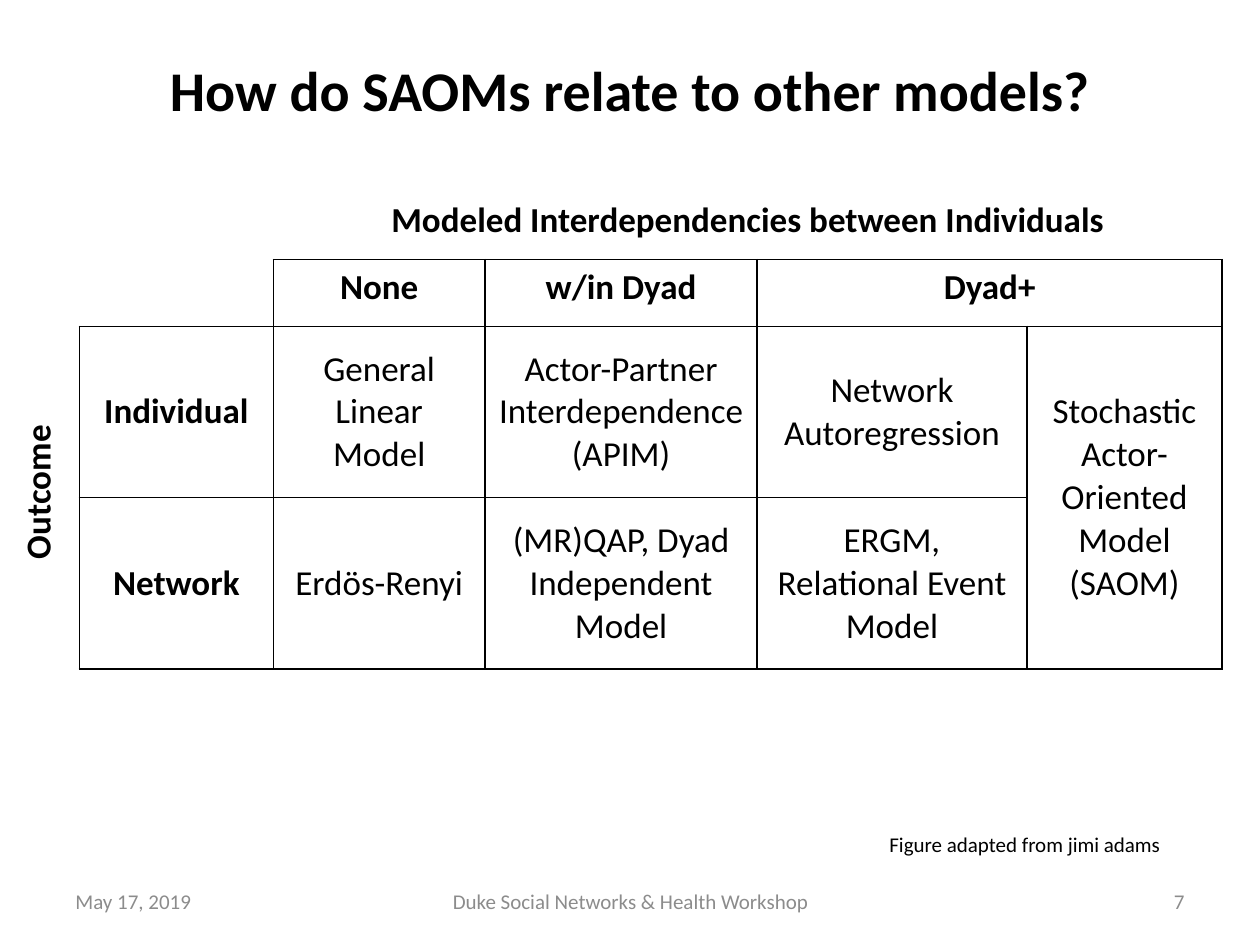
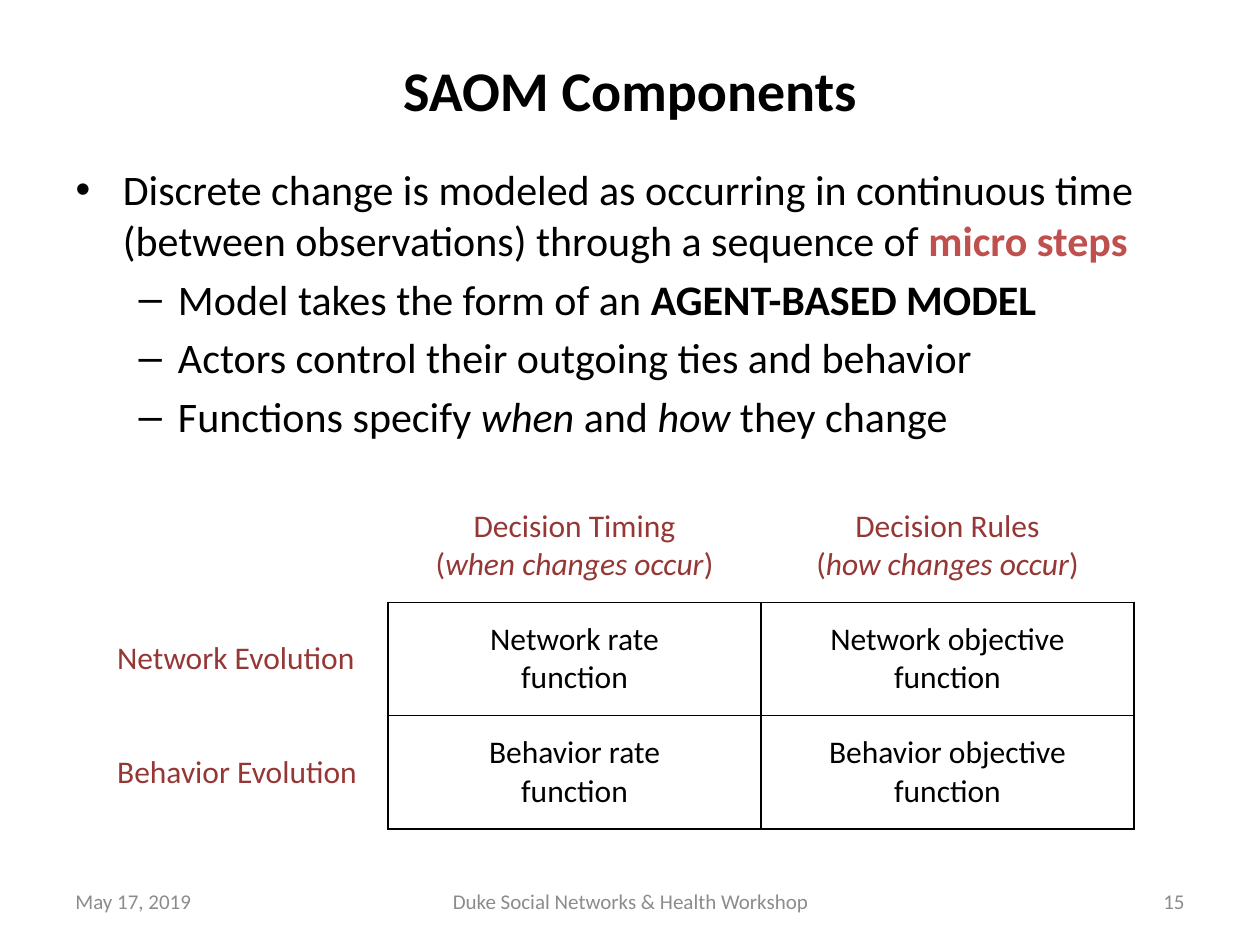
import pptx
import pptx.dml.color
import pptx.enum.text
import pptx.oxml
import pptx.oxml.ns
import pptx.util

RGB = pptx.dml.color.RGBColor
ALIGN = pptx.enum.text.PP_ALIGN
ANCHOR = pptx.enum.text.MSO_ANCHOR
BLACK = RGB(0x00, 0x00, 0x00)
GREY = RGB(0x8C, 0x8C, 0x8C)
RED = RGB(0xC0, 0x50, 0x4D)
MAROON = RGB(0x95, 0x37, 0x35)
FONT = "Calibri"
EMU_PER_PX = 9144
TITLE_ONLY, TITLE_AND_CONTENT = 5, 1
ALL_EDGES = "LRTB"


def px(*lengths):
    return [pptx.util.Emu(n * EMU_PER_PX) for n in lengths]


def write(tf, paragraphs, size=20, color=BLACK, bold=False, align=None, levels=()):
    for i, runs in enumerate(paragraphs):
        p = tf.paragraphs[0] if i == 0 else tf.add_paragraph()
        if align is not None:
            p.alignment = align
        if levels:
            p.level = levels[i]
        if i == 0:
            p.space_before = pptx.util.Pt(0)
        for run in [runs] if isinstance(runs, str) else runs:
            text, look = (run, {}) if isinstance(run, str) else run
            r = p.add_run()
            r.text = text
            r.font.name = FONT
            r.font.size = pptx.util.Pt(size)
            r.font.bold = look.get("bold", bold)
            r.font.italic = look.get("italic", False)
            r.font.color.rgb = look.get("color", color)


class Deck:
    def __init__(self, prs):
        self.prs = prs
        self.s = None

    def slide(self, title, number, layout=TITLE_ONLY):
        self.s = self.prs.slides.add_slide(self.prs.slide_layouts[layout])
        sp = self.s.shapes.title
        sp.left, sp.top, sp.width, sp.height = px(50, 8, 900, 125)
        sp.text_frame.vertical_anchor = ANCHOR.MIDDLE
        write(sp.text_frame, [title], size=32, bold=True, align=ALIGN.CENTER)
        footers = [
            (50, 233, "May 17, 2019", ALIGN.LEFT),
            (342, 317, "Duke Social Networks & Health Workshop", ALIGN.CENTER),
            (717, 233, str(number), ALIGN.RIGHT),
        ]
        for left, width, text, align in footers:
            self.text(text, left, 695, width, 40, anchor=ANCHOR.MIDDLE,
                      size=12, color=GREY, align=align)

    def text(self, text, left, top, width, height, anchor=ANCHOR.TOP,
             wrap=True, rotation=0, **fmt):
        sp = self.s.shapes.add_textbox(*px(left, top, width, height))
        sp.rotation = rotation
        sp.text_frame.word_wrap = wrap
        sp.text_frame.vertical_anchor = anchor
        write(sp.text_frame, [text], **fmt)

    def body(self, paragraphs, left, top, width, height, **fmt):
        sp = self.s.placeholders[1]
        sp.left, sp.top, sp.width, sp.height = px(left, top, width, height)
        write(sp.text_frame, paragraphs, **fmt)

    def table(self, left, top, widths, heights, edges):
        frame = self.s.shapes.add_table(
            len(heights), len(widths),
            *px(left, top, sum(widths), sum(heights)))
        tbl = frame.table
        tbl.first_row = tbl.horz_banding = False
        for column, width in zip(tbl.columns, px(*widths)):
            column.width = width
        for row, height in zip(tbl.rows, px(*heights)):
            row.height = height
        for i in range(len(heights)):
            for j in range(len(widths)):
                cell = tbl.cell(i, j)
                cell.fill.background()
                self.borders(cell, edges.get((i, j), ALL_EDGES))
        return tbl

    def borders(self, cell, edges):
        tcPr = cell._tc.get_or_add_tcPr()
        for i, edge in enumerate(ALL_EDGES):
            fill = (f'<a:solidFill><a:srgbClr val="{BLACK}"/></a:solidFill>'
                    if edge in edges else "<a:noFill/>")
            tcPr.insert(i, pptx.oxml.parse_xml(
                f'<a:ln{edge} {pptx.oxml.ns.nsdecls("a")} w="12700">'
                f"{fill}</a:ln{edge}>"))

    def cell(self, tbl, row, col, paragraphs, anchor=ANCHOR.MIDDLE,
             align=ALIGN.CENTER, **fmt):
        cell = tbl.cell(row, col)
        cell.vertical_anchor = anchor
        write(cell.text_frame, paragraphs, align=align, **fmt)


def models_slide(deck):
    deck.slide("How do SAOMs relate to other models?", 7)
    deck.text("Outcome", -36, 365, 132, 45, rotation=270, bold=True)
    deck.text("Figure adapted from jimi adams", 696, 655, 239, 30,
              wrap=False, size=12)
    edges = {(0, 0): "", (1, 0): "RB"}
    edges.update({(0, j): "B" for j in range(1, 5)})
    tbl = deck.table(63, 153, [154, 168, 216, 214, 155], [53, 53, 136, 136], edges)
    for first, last in [((0, 1), (0, 4)), ((1, 3), (1, 4)), ((2, 4), (3, 4))]:
        tbl.cell(*first).merge(tbl.cell(*last))
    headings = [(0, 1, "Modeled Interdependencies between Individuals"),
                (1, 1, "None"), (1, 2, "w/in Dyad"), (1, 3, "Dyad+")]
    for row, col, text in headings:
        deck.cell(tbl, row, col, [text], anchor=ANCHOR.TOP, bold=True)
    models = [
        [["Individual"], ["General Linear Model"],
         ["Actor-Partner Interdependence (APIM)"], ["Network Autoregression"],
         ["Stochastic Actor-Oriented Model (SAOM)"]],
        [["Network"], ["Erdös-Renyi"], ["(MR)QAP, Dyad Independent Model"],
         ["ERGM,", "Relational Event Model"]],
    ]
    for row, cells in enumerate(models, 2):
        for col, paragraphs in enumerate(cells):
            deck.cell(tbl, row, col, paragraphs, bold=col == 0)


def components_slide(deck):
    deck.slide("SAOM Components", 15, TITLE_AND_CONTENT)
    italic = {"italic": True}
    deck.body([
        ["Discrete change is modeled as occurring in continuous time "
         "(between observations) through a sequence of ",
         ("micro steps", {"bold": True, "color": RED})],
        ["Model takes the form of an ", ("AGENT-BASED MODEL", {"bold": True})],
        "Actors control their outgoing ties and behavior",
        ["Functions specify ", ("when", italic), " and ", ("how", italic),
         " they change"],
    ], 50, 125, 886, 545, size=24, levels=[0, 1, 1, 1])
    edges = {(0, 0): "", (0, 1): "B", (0, 2): "B", (1, 0): "R", (2, 0): "R"}
    tbl = deck.table(83, 388, [225, 296, 296], [90] * 3, edges)
    columns = [("Decision Timing", "when"), ("Decision Rules", "how")]
    for col, (name, question) in enumerate(columns, 1):
        note = ["(", (f"{question} changes occur", italic), ")"]
        deck.cell(tbl, 0, col, [name, note], size=18, color=MAROON)
    for row, name in enumerate(["Network", "Behavior"], 1):
        deck.cell(tbl, row, 0, [f"{name} Evolution"], align=ALIGN.LEFT,
                  size=18, color=MAROON)
        deck.cell(tbl, row, 1, [f"{name} rate", "function"], size=18)
        deck.cell(tbl, row, 2, [f"{name} objective function"], size=18)


def main():
    prs = pptx.Presentation()
    prs.slide_width, prs.slide_height = px(1000, 750)
    deck = Deck(prs)
    models_slide(deck)
    components_slide(deck)
    prs.save("out.pptx")


if __name__ == "__main__":
    main()
